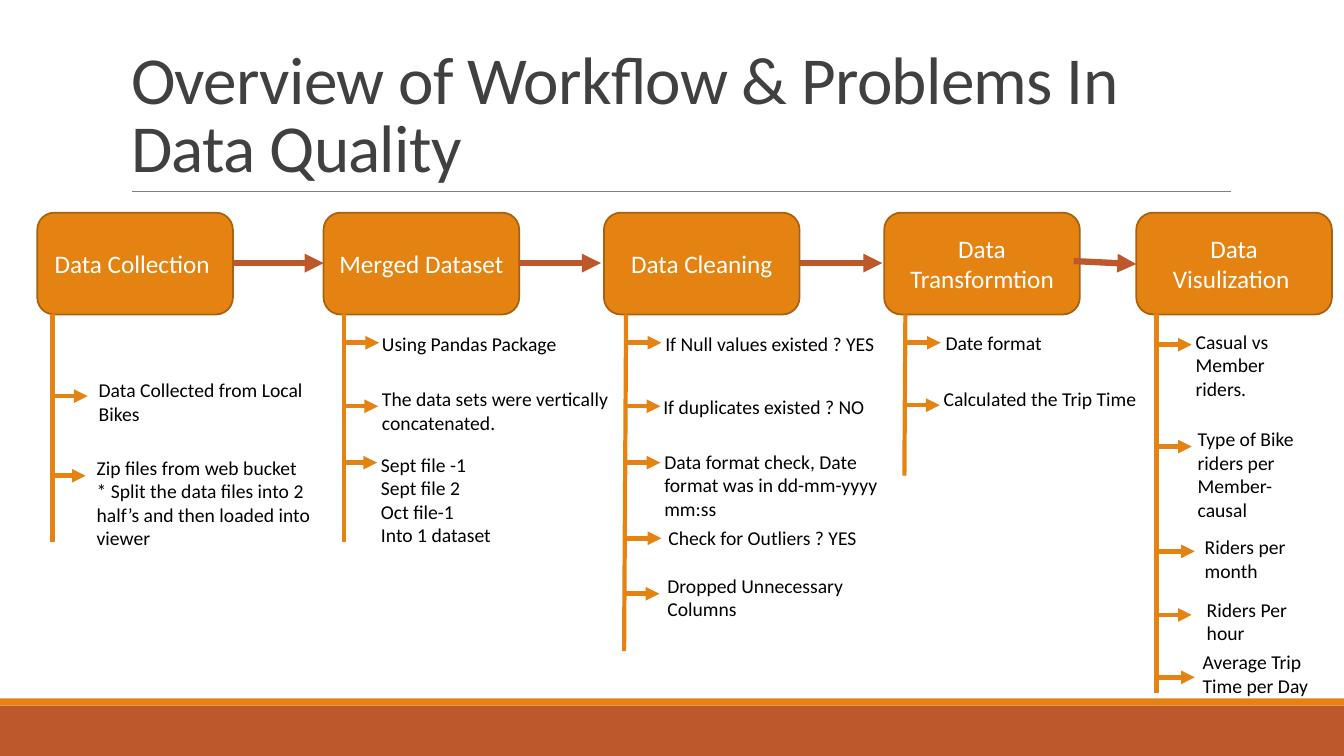
from pptx import Presentation
from pptx.dml.color import RGBColor
from pptx.enum.shapes import MSO_CONNECTOR, MSO_SHAPE
from pptx.enum.text import MSO_ANCHOR, MSO_AUTO_SIZE, PP_ALIGN
from pptx.oxml.ns import qn
from pptx.util import Inches, Pt
from lxml import etree

STRAIGHT = MSO_CONNECTOR.STRAIGHT
RECTANGLE, ROUNDED = MSO_SHAPE.RECTANGLE, MSO_SHAPE.ROUNDED_RECTANGLE
MIDDLE, BOTTOM = MSO_ANCHOR.MIDDLE, MSO_ANCHOR.BOTTOM
LEFT, CENTER = PP_ALIGN.LEFT, PP_ALIGN.CENTER
NO_AUTOFIT = MSO_AUTO_SIZE.NONE

ORANGE = RGBColor(0xE4, 0x83, 0x12)
DARK_ORANGE = RGBColor(0xA9, 0x61, 0x0D)
RUST = RGBColor(0xBD, 0x58, 0x2C)
GRAY = RGBColor(0x80, 0x80, 0x80)
CHARCOAL = RGBColor(0x40, 0x40, 0x40)
WHITE = RGBColor(0xFF, 0xFF, 0xFF)
BLACK = RGBColor(0, 0, 0)
FONT = "Calibri"

SLIDE_W, SLIDE_H = 13.33, 7.5
FOOTER_TOP, STRIPE_H = 7, 0.07
STEP_TOP, STEP_W, STEP_H = 2.11, 1.94, 1.01
STEP_BOTTOM = STEP_TOP + STEP_H
FLOW_Y = 2.61
BRANCH = 0.35
LINE_H, INSET = 0.235, 0.1

TITLE = "Overview of Workflow & Problems In Data Quality"

STEPS = [
    ("Data Collection ", 0.37, (0.52, 0.52, 5.38), [
        ((0.52, 3.93), (0.88, 3.7, 2.33), 2, ["Data Collected from Local Bikes"]),
        ((0.5, 4.72), (0.86, 4.47, 2.49), 4, [
            "Zip files from web bucket",
            "* Split the data files into 2 half’s and then loaded into viewer"]),
    ]),
    ("Merged Dataset", 3.21, (3.41, 3.41, 5.38), [
        ((3.41, 3.4), (3.69, 3.24, 2.61), 1, ["Using Pandas Package"]),
        ((3.4, 4.03), (3.69, 3.79, 2.52), 3,
         ["The data sets were vertically concatenated."]),
        ((3.39, 4.59), (3.68, 4.44, 2.61), 4,
         ["Sept file -1", "Sept file 2", "Oct file-1", "Into 1 dataset"]),
    ]),
    ("Data Cleaning", 5.99, (6.21, 6.19, 6.46), [
        ((6.21, 3.4), (6.5, 3.24, 2.61), 1, ["If Null values existed ? YES"]),
        ((6.2, 4.03), (6.48, 3.87, 2.52), 1, ["If duplicates existed ? NO"]),
        ((6.2, 4.59), (6.49, 4.41, 2.61), 3,
         ["Data format check, Date format was in dd-mm-yyyy mm:ss"]),
        ((6.21, 5.34), (6.53, 5.17, 2.39), 1, ["Check for Outliers ? YES"]),
        ((6.19, 5.89), (6.52, 5.64, 2.39), 2, ["Dropped Unnecessary Columns"]),
    ]),
    ("Data Transformtion", 8.77, (8.98, 8.97, 4.72), [
        ((8.98, 3.4), (9.28, 3.23, 2.43), 1, ["Date format"]),
        ((8.97, 4.02), (9.26, 3.79, 2.52), 1, ["Calculated the Trip Time"]),
    ]),
    ("Data Visulization ", 11.27, (11.47, 11.47, 6.88), [
        ((11.47, 3.42), (11.76, 3.22, 1.28), 3, ["Casual vs Member riders."]),
        ((11.47, 4.43), (11.78, 4.19, 1.28), 4,
         ["Type of Bike riders per Member-causal"]),
        ((11.5, 5.47), (11.85, 5.26, 1.31), 2, ["Riders per month"]),
        ((11.47, 6.1), (11.87, 5.88, 1.28), 2, ["Riders Per hour"]),
        ((11.5, 6.72), (11.83, 6.4, 1.28), 2, ["Average Trip Time per Day"]),
    ]),
]
FLOWS = [
    ((2.31, FLOW_Y), (3.21, FLOW_Y)),
    ((5.14, FLOW_Y), (5.96, FLOW_Y)),
    ((7.93, FLOW_Y), (8.75, FLOW_Y)),
    ((10.65, 2.59), (11.27, 2.62)),
]


def write(frame, paragraphs, size, color, align=LEFT):
    frame.word_wrap = True
    frame.auto_size = NO_AUTOFIT
    for index, words in enumerate(paragraphs):
        paragraph = frame.paragraphs[0] if index == 0 else frame.add_paragraph()
        paragraph.alignment = align
        run = paragraph.add_run()
        run.text = words
        run.font.name, run.font.size = FONT, Pt(size)
        run.font.color.rgb = color


def add_block(slide, kind, box, fill, border=None):
    block = slide.shapes.add_shape(kind, *map(Inches, box))
    block.shadow.inherit = False
    block.fill.solid()
    block.fill.fore_color.rgb = fill
    if border is None:
        block.line.fill.background()
    else:
        block.line.color.rgb = border
        block.line.width = Pt(1.25)
    return block


def add_line(slide, start, end, color, width, arrow=False):
    line = slide.shapes.add_connector(STRAIGHT, *map(Inches, start + end))
    line.line.color.rgb = color
    line.line.width = Pt(width)
    properties = line.element.spPr
    if arrow:
        etree.SubElement(properties.find(qn("a:ln")), qn("a:tailEnd"), type="triangle")
    etree.SubElement(properties, qn("a:effectLst"))


def add_title(slide):
    title = slide.shapes.title
    title.left, title.top, title.width, title.height = map(Inches, (1.2, 0.31, 11, 1.59))
    frame = title.text_frame
    frame.vertical_anchor = BOTTOM
    write(frame, [TITLE], 48, CHARCOAL)
    frame.paragraphs[0].line_spacing = 0.85
    frame.paragraphs[0].runs[0].font._element.set("spc", "-50")


def add_step(slide, name, left, stem, notes):
    block = add_block(slide, ROUNDED, (left, STEP_TOP, STEP_W, STEP_H), ORANGE, DARK_ORANGE)
    block.text_frame.vertical_anchor = MIDDLE
    write(block.text_frame, [name], 18, WHITE, CENTER)
    top_x, bottom_x, bottom_y = stem
    add_line(slide, (top_x, STEP_BOTTOM), (bottom_x, bottom_y), ORANGE, 3)
    for (x, y), (note_left, note_top, note_w), lines, paragraphs in notes:
        add_line(slide, (x, y), (x + BRANCH, y), ORANGE, 3.25, arrow=True)
        note_h = lines * LINE_H + INSET
        note = slide.shapes.add_textbox(*map(Inches, (note_left, note_top, note_w, note_h)))
        write(note.text_frame, paragraphs, 14, BLACK)


def main():
    deck = Presentation()
    deck.slide_width, deck.slide_height = Inches(SLIDE_W), Inches(SLIDE_H)
    slide = deck.slides.add_slide(deck.slide_layouts[5])
    add_block(slide, RECTANGLE, (0, FOOTER_TOP, SLIDE_W, SLIDE_H - FOOTER_TOP), RUST)
    add_block(slide, RECTANGLE, (0, FOOTER_TOP - STRIPE_H, SLIDE_W, STRIPE_H), ORANGE)
    add_line(slide, (1.31, 1.9), (12.21, 1.9), GRAY, 0.5)
    add_title(slide)
    for step in STEPS:
        add_step(slide, *step)
    for start, end in FLOWS:
        add_line(slide, start, end, RUST, 4.5, arrow=True)
    deck.save("out.pptx")


if __name__ == "__main__":
    main()
